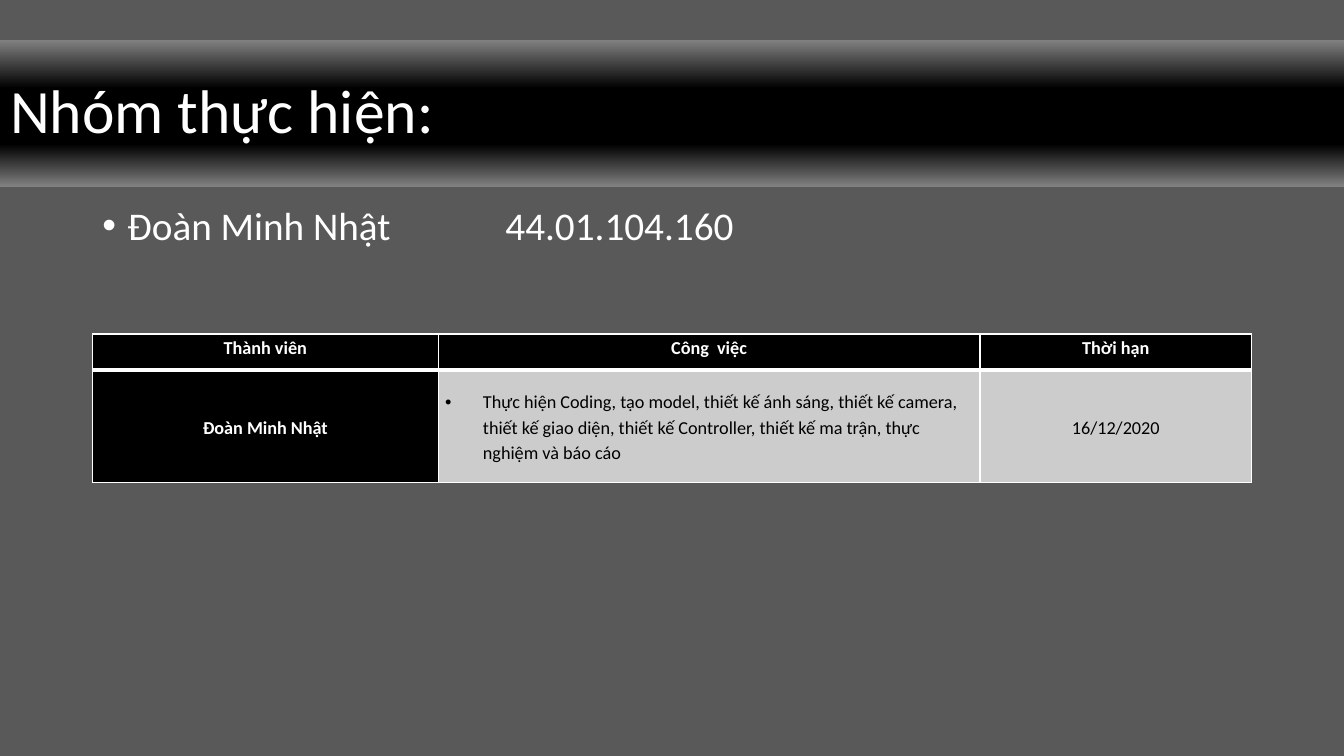
from dataclasses import dataclass

from lxml.etree import SubElement
from pptx import Presentation
from pptx.dml.color import RGBColor as Color
from pptx.enum.text import MSO_ANCHOR as Anchor, MSO_AUTO_SIZE as AutoSize, PP_ALIGN as Align
from pptx.oxml.ns import qn
from pptx.util import Pt


@dataclass(frozen=True)
class Theme:
    font: str = "Calibri"
    background: str = "595959"
    light: str = "FFFFFF"
    dark: str = "000000"
    band_edge: str = "808080"
    cell: str = "CCCCCC"
    title_size: float = 44
    body_size: float = 28
    table_size: float = 13
    thin: float = 1
    thick: float = 3


@dataclass(frozen=True)
class Entry:
    text: str
    heading: bool = False
    bullet: bool = False


THEME = Theme()
COLUMN_WIDTHS = (247, 387, 194)
ROW_HEIGHTS = (26, 80)
ROWS = (
    (Entry("Thành viên", heading=True), Entry("Công  việc", heading=True), Entry("Thời hạn", heading=True)),
    (
        Entry("Đoàn Minh Nhật", heading=True),
        Entry(
            "Thực hiện Coding, tạo model, thiết kế ánh sáng, thiết kế camera, "
            "thiết kế giao diện, thiết kế Controller, thiết kế ma trận, thực nghiệm và báo cáo",
            bullet=True,
        ),
        Entry("16/12/2020"),
    ),
)


def place(shape, left: float, top: float, width: float, height: float) -> None:
    shape.left, shape.top, shape.width, shape.height = map(Pt, (left, top, width, height))


def style(para, size: float, color: str, spacing: float, align=Align.LEFT, bold: bool = False) -> None:
    para.alignment = align
    para.line_spacing = spacing
    font = para.font
    font.name, font.size, font.bold = THEME.font, Pt(size), bold
    font.color.rgb = Color.from_string(color)


def add_bullet(para, indent: float) -> None:
    properties = para._p.get_or_add_pPr()
    properties.set("marL", str(Pt(indent)))
    properties.set("indent", str(-Pt(indent)))
    bullet_font = SubElement(properties, qn("a:buFont"), typeface="Arial")
    bullet_font.addnext(properties.makeelement(qn("a:buChar"), {"char": "•"}))
    defaults = properties.find(qn("a:defRPr"))
    if defaults is not None:
        properties.append(defaults)


def add_gradient(shape, stops: tuple[tuple[int, str], ...], angle: int) -> None:
    gradient = SubElement(shape._element.spPr, qn("a:gradFill"), rotWithShape="1")
    stop_list = SubElement(gradient, qn("a:gsLst"))
    for percent, color in stops:
        stop = SubElement(stop_list, qn("a:gs"), pos=str(percent * 1000))
        SubElement(stop, qn("a:srgbClr"), val=color)
    SubElement(gradient, qn("a:lin"), ang=str(angle * 60000), scaled="0")


def add_borders(cell, top: float, bottom: float) -> None:
    properties = cell._tc.get_or_add_tcPr()
    widths = {"lnL": THEME.thin, "lnR": THEME.thin, "lnT": top, "lnB": bottom}
    for side, width in widths.items():
        line = SubElement(properties, qn(f"a:{side}"), w=str(Pt(width)))
        fill = SubElement(line, qn("a:solidFill"))
        SubElement(fill, qn("a:srgbClr"), val=THEME.light)


def fill_cell(cell, entry: Entry, row: int) -> None:
    header = row == 0
    add_borders(
        cell,
        top=THEME.thin if header else THEME.thick,
        bottom=THEME.thick if header else THEME.thin,
    )
    cell.fill.solid()
    cell.fill.fore_color.rgb = Color.from_string(THEME.dark if entry.heading else THEME.cell)
    cell.margin_left = cell.margin_right = Pt(5)
    cell.margin_top = cell.margin_bottom = Pt(0)
    cell.vertical_anchor = Anchor.TOP if header else Anchor.MIDDLE
    cell.text = entry.text
    para = cell.text_frame.paragraphs[0]
    style(
        para,
        THEME.table_size,
        THEME.light if entry.heading else THEME.dark,
        1.15,
        Align.LEFT if entry.bullet else Align.CENTER,
        entry.heading,
    )
    if entry.bullet:
        add_bullet(para, 27)


def add_title(page) -> None:
    title = page.shapes.title
    place(title, 0, 28.8, 960, 104.4)
    add_gradient(
        title,
        ((0, THEME.band_edge), (33, THEME.dark), (71, THEME.dark), (100, THEME.band_edge)),
        90,
    )
    frame = title.text_frame
    frame.text = "Nhóm thực hiện:"
    frame.auto_size = AutoSize.NONE
    frame.vertical_anchor = Anchor.MIDDLE
    style(frame.paragraphs[0], THEME.title_size, THEME.light, 0.9)


def add_member(page) -> None:
    box = page.shapes.add_textbox(Pt(66), Pt(144), Pt(828), Pt(342.72))
    frame = box.text_frame
    frame.word_wrap = True
    frame.text = "Đoàn Minh Nhật\t\t\t44.01.104.160"
    para = frame.paragraphs[0]
    para.space_before = Pt(10)
    style(para, THEME.body_size, THEME.light, 0.9)
    add_bullet(para, 18)


def add_tasks(page) -> None:
    frame = page.shapes.add_table(
        len(ROWS), len(COLUMN_WIDTHS), Pt(66), Pt(238.5), Pt(sum(COLUMN_WIDTHS)), Pt(sum(ROW_HEIGHTS))
    )
    table = frame.table
    table.first_row = table.horz_banding = False
    for column, width in zip(table.columns, COLUMN_WIDTHS):
        column.width = Pt(width)
    for row, (height, entries) in enumerate(zip(ROW_HEIGHTS, ROWS)):
        table.rows[row].height = Pt(height)
        for column, entry in enumerate(entries):
            fill_cell(table.cell(row, column), entry, row)


def main() -> None:
    deck = Presentation()
    deck.slide_width, deck.slide_height = Pt(960), Pt(540)
    page = deck.slides.add_slide(deck.slide_layouts.get_by_name("Title Only"))
    page.background.fill.solid()
    page.background.fill.fore_color.rgb = Color.from_string(THEME.background)
    add_title(page)
    add_member(page)
    add_tasks(page)
    deck.save("out.pptx")


if __name__ == "__main__":
    main()
